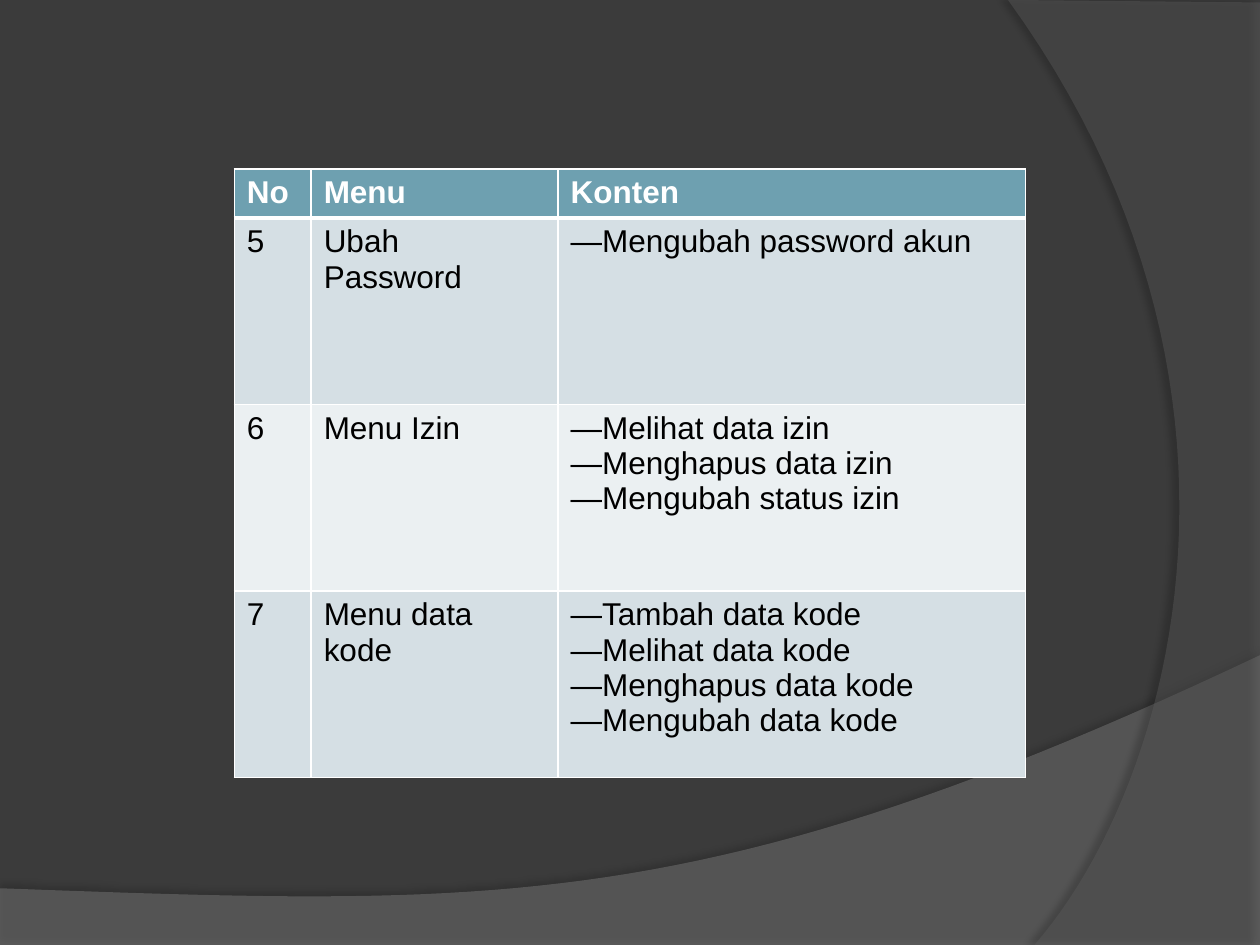
from lxml.etree import SubElement
from pptx import Presentation
from pptx.dml.color import RGBColor
from pptx.oxml.ns import qn
from pptx.util import Inches, Pt

HEADS = ["No", "Menu", "Konten"]
ROWS = [
    ("5", "Ubah Password", ["Mengubah password akun"]),
    ("6", "Menu Izin", ["Melihat data izin", "Menghapus data izin", "Mengubah status izin"]),
    ("7", "Menu data kode", ["Tambah data kode", "Melihat data kode",
                             "Menghapus data kode", "Mengubah data kode"]),
]
WIDTHS = [0.61, 1.96, 3.71]
HEIGHTS = [0.39] + [1.48] * len(ROWS)
HEAD, BANDS = "6EA0B0", ["D5DFE4", "EBF0F2"]


def color(code):
    return RGBColor.from_string(code)


def add(parent, tag, **attrs):
    return SubElement(parent, qn(tag), {k: str(v) for k, v in attrs.items()})


def curve(*ctrl, steps=48):
    """Points along a cubic Bezier curve with four control points."""
    pts = []
    for i in range(steps + 1):
        t = i / steps
        w = [(1 - t) ** 3, 3 * t * (1 - t) ** 2, 3 * t * t * (1 - t), t ** 3]
        pts.append(tuple(sum(a * p[axis] for a, p in zip(w, ctrl)) for axis in (0, 1)))
    return pts


class Deck:
    font, size, line = "Arial", 18, "FFFFFF"

    def __init__(self, back):
        self.prs = Presentation()
        self.prs.slide_width, self.prs.slide_height = Inches(10), Inches(7.5)
        self.slide = self.prs.slides.add_slide(self.prs.slide_layouts[6])
        fill = self.slide.background.fill
        fill.solid()
        fill.fore_color.rgb = color(back)

    def wave(self, pts, code, alpha, shade, dist, angle):
        """Translucent shape with a soft shadow; alpha and shade in percent."""
        pts = [(Inches(x), Inches(y)) for x, y in pts]
        pen = self.slide.shapes.build_freeform(*pts[0])
        pen.add_line_segments(pts[1:], close=True)
        shape = pen.convert_to_shape()
        shape.fill.solid()
        shape.fill.fore_color.rgb = color(code)
        shape.line.fill.background()
        tint = shape.fill._xPr.find(qn("a:solidFill"))[0]
        add(tint, "a:alpha", val=alpha * 1000)
        effects = add(shape._element.spPr, "a:effectLst")
        shadow = add(effects, "a:outerShdw", blurRad=Pt(4), dist=Pt(dist),
                     dir=angle * 60000, algn="ctr", rotWithShape=0)
        dark = add(shadow, "a:srgbClr", val="000000")
        add(dark, "a:alpha", val=shade * 1000)

    def table(self, left, top, heads, rows):
        grid = self.slide.shapes.add_table(
            len(HEIGHTS), len(WIDTHS), Inches(left), Inches(top),
            Inches(sum(WIDTHS)), Inches(sum(HEIGHTS))).table
        for col, width in zip(grid.columns, WIDTHS):
            col.width = Inches(width)
        for row, height in zip(grid.rows, HEIGHTS):
            row.height = Inches(height)
        for r, row in enumerate([heads, *rows]):
            for c, text in enumerate(row):
                self.cell(grid.cell(r, c), text, r)

    def cell(self, cell, text, row):
        props = cell._tc.get_or_add_tcPr()
        thick = {0: "B", 1: "T"}.get(row)
        for side in "LRTB":
            edge = add(props, f"a:ln{side}", w=Pt(3 if side == thick else 1))
            add(add(edge, "a:solidFill"), "a:srgbClr", val=self.line)
        cell.fill.solid()
        cell.fill.fore_color.rgb = color(BANDS[(row - 1) % 2] if row else HEAD)
        listed = isinstance(text, list)
        cell.text_frame.text = "\n".join(text) if listed else text
        for para in cell.text_frame.paragraphs:
            if listed:
                style = para._p.get_or_add_pPr()
                add(style, "a:buFont", typeface=self.font)
                add(style, "a:buChar", char="―")
            for run in para.runs:
                run.font.name, run.font.size = self.font, Pt(self.size)
                run.font.bold = row == 0
                run.font.color.rgb = color("000000" if row else "FFFFFF")


def main():
    deck = Deck("3B3B3B")
    deck.wave([(0, 7.05), (0, 7.51), (10, 7.51)]
              + curve((10, 5.2), (5.59, 7.29), (3.91, 7.19), (0, 7.05))[:-1],
              "7F7F7F", 45, 35, 3.5, 270)
    deck.wave([(10, 0.02), (10, 7.5)]
              + curve((8.21, 7.5), (9.35, 6.19), (10.18, 3), (8, 0)),
              "5E5E5E", 40, 45, 4, 180)
    deck.table(1.86, 1.34, HEADS, ROWS)
    deck.prs.save("out.pptx")


if __name__ == "__main__":
    main()
